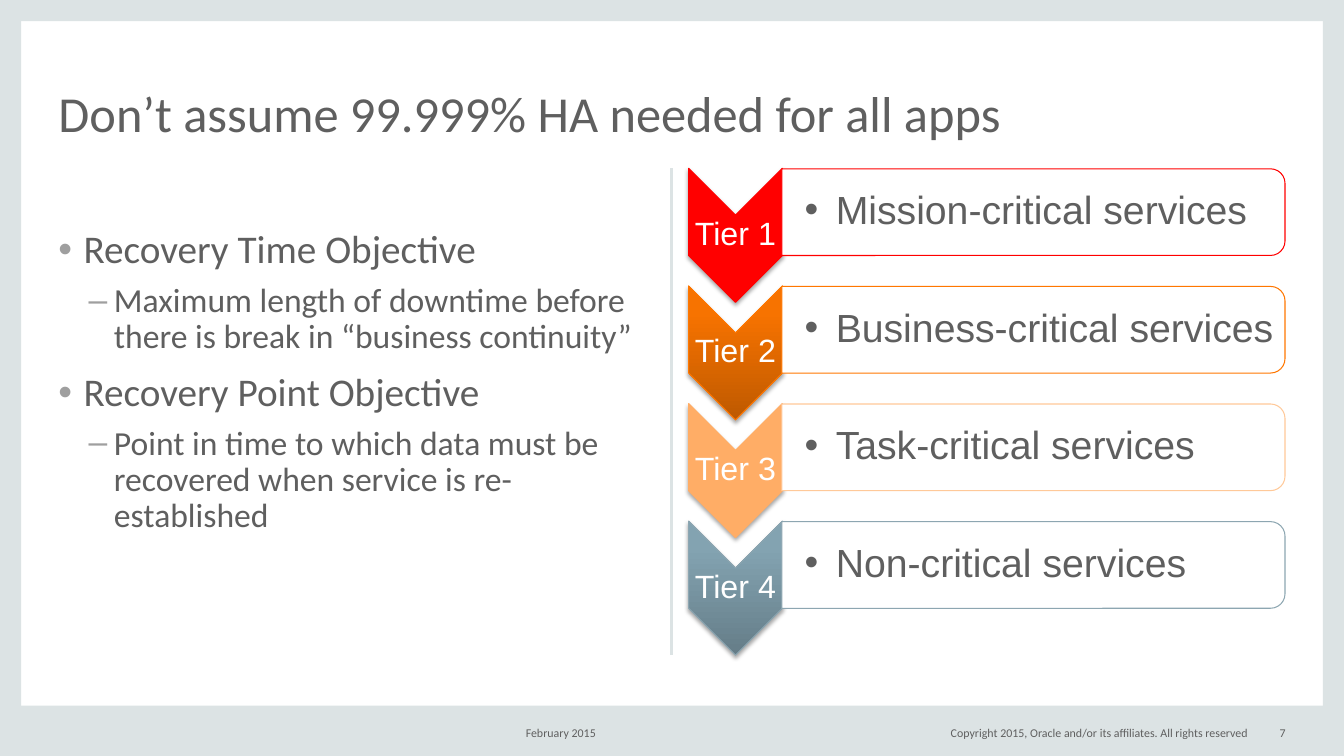
from lxml import etree
from pptx import Presentation
from pptx.dml.color import RGBColor
from pptx.enum.shapes import MSO_CONNECTOR, MSO_SHAPE
from pptx.enum.text import MSO_ANCHOR, PP_ALIGN
from pptx.oxml import parse_xml
from pptx.oxml.ns import nsdecls, qn
from pptx.util import Inches, Pt

RECTANGLE = MSO_SHAPE.RECTANGLE
CHEVRON = MSO_SHAPE.CHEVRON
ROUND_TOP = MSO_SHAPE.ROUND_2_SAME_RECTANGLE
STRAIGHT = MSO_CONNECTOR.STRAIGHT
TOP, MIDDLE, BOTTOM = MSO_ANCHOR.TOP, MSO_ANCHOR.MIDDLE, MSO_ANCHOR.BOTTOM
LEFT, CENTER, RIGHT = PP_ALIGN.LEFT, PP_ALIGN.CENTER, PP_ALIGN.RIGHT

WHITE = RGBColor(0xFF, 0xFF, 0xFF)
FRAME = RGBColor(0xDC, 0xE3, 0xE4)
GRAY = RGBColor(0x5F, 0x5F, 0x5F)
BULLET_GRAY = RGBColor(0x9F, 0x9F, 0x9F)
RED = RGBColor(0xFF, 0x00, 0x00)
ORANGE = RGBColor(0xFF, 0x77, 0x00)
PEACH = RGBColor(0xFF, 0xAD, 0x66)
PALE_PEACH = RGBColor(0xFF, 0xC9, 0x99)
SLATE = RGBColor(0x8D, 0xA6, 0xB1)
ORANGE_BLEND = (
    (0, RGBColor(0xBE, 0x59, 0x00)),
    (80, RGBColor(0xF7, 0x73, 0x00)),
    (100, RGBColor(0xF8, 0x74, 0x00)),
)
SLATE_BLEND = (
    (0, RGBColor(0x65, 0x7D, 0x88)),
    (80, RGBColor(0x83, 0xA3, 0xB1)),
    (100, RGBColor(0x83, 0xA4, 0xB2)),
)

FRAME_BARS = [
    (0, 0, 0.21, 7.5),
    (13.12, 0, 0.21, 7.5),
    (0, 7, 13.33, 0.5),
    (0, 0, 13.33, 0.21),
]
OBJECTIVES = [
    ("Recovery Time Objective",
     "Maximum length of downtime before there is break in “business continuity”"),
    ("Recovery Point Objective",
     "Point in time to which data must be recovered when service is re-established"),
]
TIERS = [
    ("Mission-critical services", RED, RED, None),
    ("Business-critical services", ORANGE, ORANGE, ORANGE_BLEND),
    ("Task-critical services", PEACH, PALE_PEACH, None),
    ("Non-critical services", SLATE, SLATE, SLATE_BLEND),
]
TIER_PITCH = 3.5 / 3
FOOTERS = [
    ("February 2015", 4.57, 1.34, RIGHT),
    ("7", 12.33, 0.42, RIGHT),
    ("Copyright 2015, Oracle and/or its affiliates. All rights reserved", 9.43, 3, LEFT),
]


class SlideBuilder:
    heading_font = "Calibri"
    tier_font = "Arial"

    def __init__(self, page):
        self.page = page

    def shape(self, kind, frame, fill, line=None, rotation=0):
        shape = self.page.shapes.add_shape(kind, *map(Inches, frame))
        shape.shadow.inherit = False
        shape.rotation = rotation
        shape.fill.solid()
        shape.fill.fore_color.rgb = fill
        if line is None:
            shape.line.fill.background()
        else:
            shape.line.color.rgb = line
            shape.line.width = Pt(0.75)
        return shape

    def line(self, start, end, color, width):
        line = self.page.shapes.add_connector(STRAIGHT, *map(Inches, start + end))
        line.line.color.rgb = color
        line.line.width = Pt(width)
        etree.SubElement(line._element.spPr, qn("a:effectLst"))

    def box(self, frame, anchor=TOP, margins=(0, 0, 0, 0)):
        box = self.page.shapes.add_textbox(*map(Inches, frame))
        text = box.text_frame
        text.word_wrap = True
        text.vertical_anchor = anchor
        (text.margin_left, text.margin_top,
         text.margin_right, text.margin_bottom) = map(Inches, margins)
        return text

    def style_text(self, para, words, size, font=heading_font, color=GRAY,
                   align=LEFT, spacing=0.9, before=0):
        para.text = words
        para.alignment = align
        para.line_spacing = spacing
        para.space_before = Pt(before)
        para.font.size = Pt(size)
        para.font.name = font
        para.font.color.rgb = color

    def bullet(self, para, char, indent, hanging, color):
        properties = para._p.get_or_add_pPr()
        properties.set("marL", str(Inches(indent)))
        properties.set("indent", str(-Inches(hanging)))
        for xml in (
            f'<a:buClr {nsdecls("a")}><a:srgbClr val="{color}"/></a:buClr>',
            f'<a:buFont {nsdecls("a")} typeface="Arial"/>',
            f'<a:buChar {nsdecls("a")} char="{char}"/>',
        ):
            properties.append(parse_xml(xml))

    def blend(self, shape, stops):
        marks = "".join(
            f'<a:gs pos="{place * 1000}"><a:srgbClr val="{color}"/></a:gs>'
            for place, color in stops
        )
        properties = shape._element.spPr
        properties.replace(properties.find(qn("a:solidFill")), parse_xml(
            f'<a:gradFill {nsdecls("a")} rotWithShape="0"><a:gsLst>{marks}</a:gsLst>'
            '<a:lin ang="16200000" scaled="0"/></a:gradFill>'
        ))

    def drop_shadow(self, shape):
        effects = shape._element.spPr.find(qn("a:effectLst"))
        effects.append(parse_xml(
            f'<a:outerShdw {nsdecls("a")} blurRad="{Pt(3.1)}" dist="{Pt(1.8)}" '
            'dir="5400000" rotWithShape="0"><a:srgbClr val="000000">'
            '<a:alpha val="35000"/></a:srgbClr></a:outerShdw>'
        ))

    def objectives(self, frame, items):
        text = self.box(frame)
        para = text.paragraphs[0]
        for number, (name, detail) in enumerate(items):
            if number:
                para = text.add_paragraph()
            self.bullet(para, "•", 0.25, 0.25, BULLET_GRAY)
            self.style_text(para, name, 28, before=12 if number else 0)
            para = text.add_paragraph()
            para.level = 1
            self.bullet(para, "–", 0.55, 0.25, BULLET_GRAY)
            self.style_text(para, detail, 24, before=8)

    def tier(self, number, service, color, outline, stops):
        drop = TIER_PITCH * (number - 1)
        arrow = self.shape(CHEVRON, (6.63, 1.87 + drop, 1.33, 0.93), color, color, 90)
        if stops:
            self.blend(arrow, stops)
        self.drop_shadow(arrow)
        label = self.box((6.83, 2.13 + drop, 0.93, 0.4), MIDDLE, (0.02,) * 4)
        self.style_text(label.paragraphs[0], f"Tier {number}", 23,
                        self.tier_font, WHITE, CENTER)

        self.shape(ROUND_TOP, (9.82, -0.39 + drop, 0.86, 4.99), WHITE, outline, 90)
        text = self.box((7.76, 1.71 + drop, 4.94, 0.78), MIDDLE, (0.22, 0.02, 0.02, 0.02))
        para = text.paragraphs[0]
        self.bullet(para, "•", 0.31, 0.31, GRAY)
        self.style_text(para, service, 28, self.tier_font)


def main():
    deck = Presentation()
    deck.slide_width = Inches(13.33)
    deck.slide_height = Inches(7.5)
    builder = SlideBuilder(deck.slides.add_slide(deck.slide_layouts[6]))

    for bar in FRAME_BARS:
        builder.shape(RECTANGLE, bar, FRAME)
    builder.line((6.66, 1.67), (6.66, 6.5), FRAME, 1.5)

    title = builder.box((0.58, 0.44, 12.17, 0.97), BOTTOM)
    builder.style_text(title.paragraphs[0], "Don’t assume 99.999% HA needed for all apps",
                       36, spacing=0.8)
    builder.objectives((0.58, 2.28, 5.92, 4.22), OBJECTIVES)
    for number, tier in enumerate(TIERS, 1):
        builder.tier(number, *tier)
    for words, left, width, align in FOOTERS:
        footer = builder.box((left, 7.17, width, 0.2), MIDDLE)
        builder.style_text(footer.paragraphs[0], words, 8.5, align=align, spacing=1.0)

    deck.save("out.pptx")


if __name__ == "__main__":
    main()
